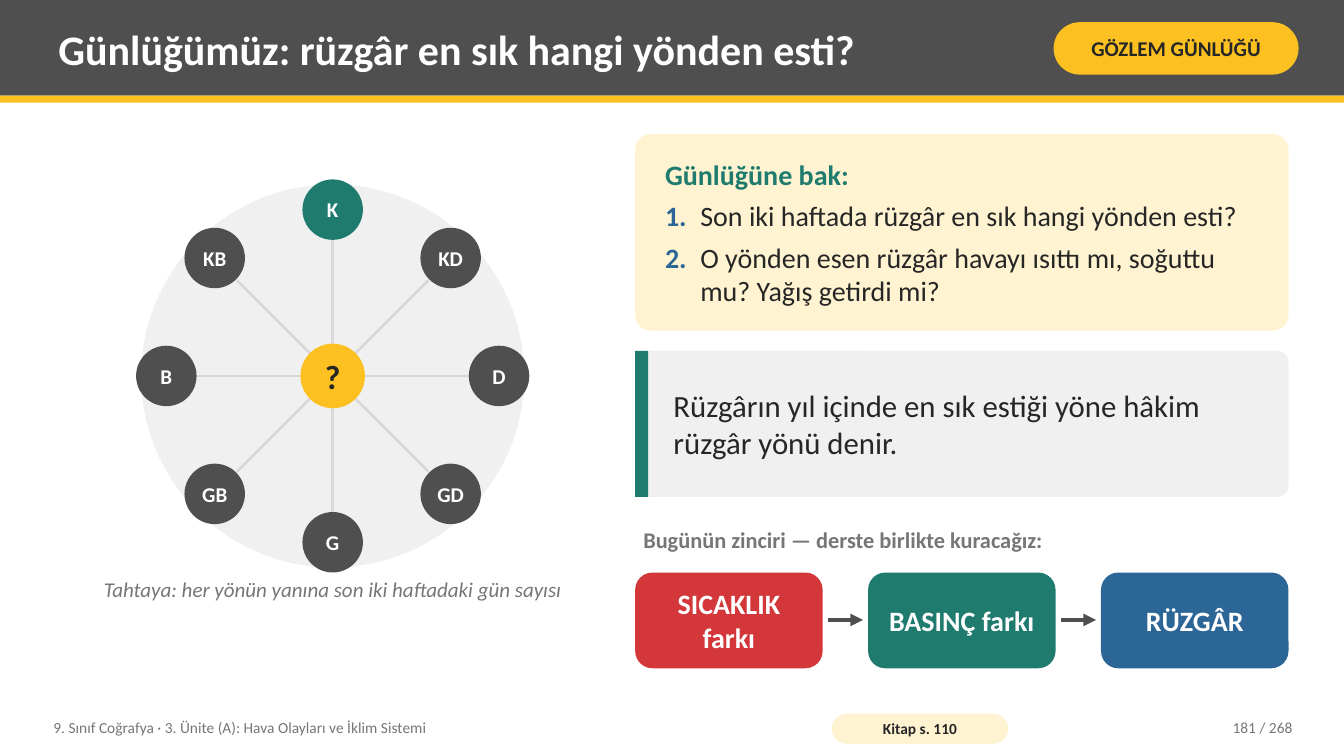
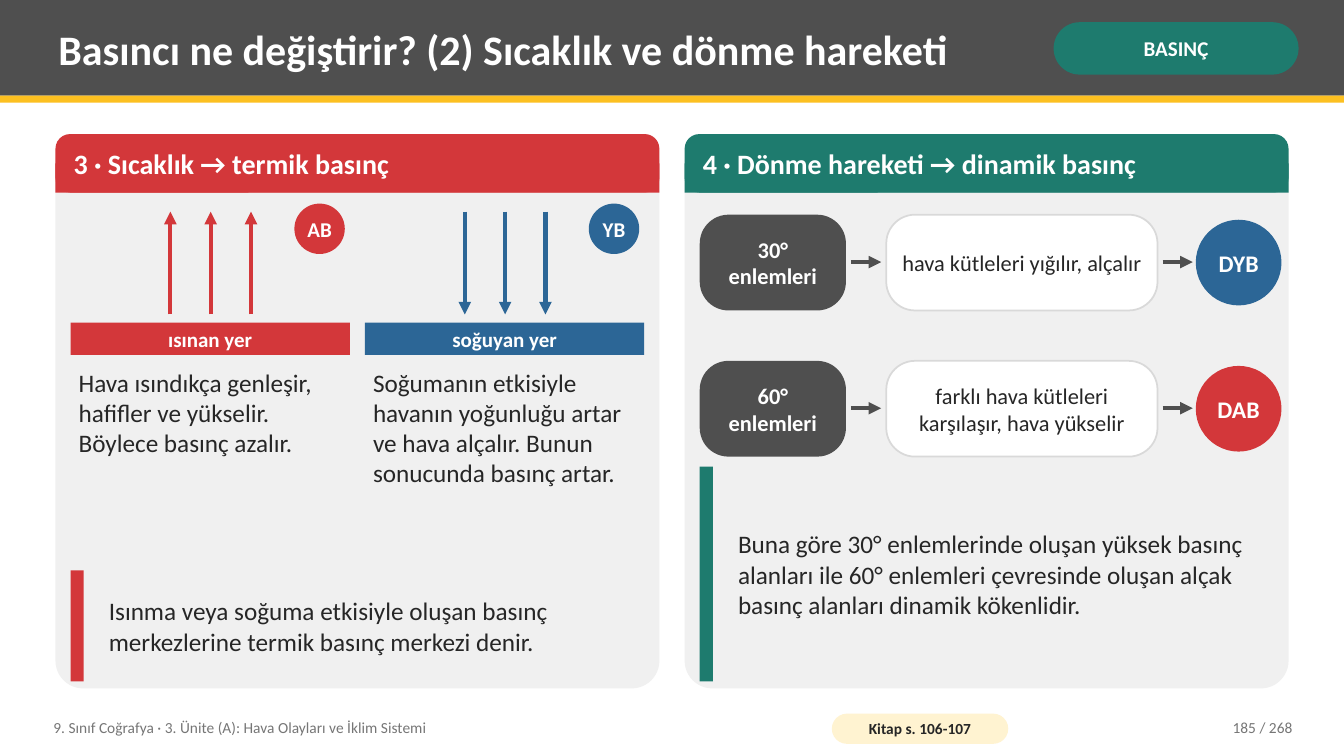
from dataclasses import dataclass
from math import cos, pi, sin

from lxml import etree
from pptx import Presentation
from pptx import util as u
from pptx.dml.color import RGBColor
from pptx.enum import shapes as sh
from pptx.enum import text as tx
from pptx.oxml.ns import qn

KIND = sh.MSO_SHAPE
LEFT, MID, RIGHT = tx.PP_ALIGN.LEFT, tx.PP_ALIGN.CENTER, tx.PP_ALIGN.RIGHT
TOP, HALF = tx.MSO_ANCHOR.TOP, tx.MSO_ANCHOR.MIDDLE
INSET = (8, 4)


@dataclass(frozen=True)
class Theme:
    """Colours, font and type sizes of the deck."""
    font: str = "Calibri"
    white: str = "FFFFFF"
    ink: str = "262626"
    dark: str = "4F4F4F"
    grey: str = "767676"
    rule: str = "D9D9D9"
    pale: str = "F0F0F0"
    gold: str = "FCC021"
    cream: str = "FFF3D1"
    green: str = "1E7B6E"
    red: str = "D3373A"
    blue: str = "2C6696"
    title: int = 30
    mark: int = 24
    lead: int = 22
    head: int = 20
    body: int = 18
    badge: int = 17
    note: int = 16
    label: int = 15
    foot: int = 11


T = Theme()


def px(n):
    """Turn px into EMU, at 100 px to the inch."""
    return u.Emu(round(n) * 9144)


def rgb(hue):
    """Turn a hex string into a colour."""
    return RGBColor.from_string(hue)


def style(para, size, hue, bold=False, align=LEFT, italic=False):
    """Set the font and alignment of a paragraph."""
    para.alignment = align
    font = para.font
    font.name, font.size = T.font, u.Pt(size)
    font.bold, font.italic = bold, italic
    font.color.rgb = rgb(hue)


def fit(frame, pad, anchor=HALF, wrap=True):
    """Set the insets, anchor and wrapping of a text frame."""
    frame.auto_size = tx.MSO_AUTO_SIZE.NONE
    frame.word_wrap = wrap
    frame.vertical_anchor = anchor
    frame.margin_left = frame.margin_right = px(pad[0])
    frame.margin_top = frame.margin_bottom = px(pad[1])


def write(slide, box, words, size, hue=T.ink, bold=False, align=LEFT,
          anchor=HALF, pad=INSET, italic=False):
    """Add a text box."""
    frame = slide.shapes.add_textbox(*map(px, box)).text_frame
    fit(frame, pad, anchor)
    frame.text = words
    style(frame.paragraphs[0], size, hue, bold, align, italic)


def block(slide, box, fill, words="", size=T.label, hue=T.white, bold=True,
          kind=KIND.RECTANGLE, bend=None, pad=(0, 0), edge=None, align=MID):
    """Add a filled shape, rounded when bend is given."""
    if bend is not None:
        kind = KIND.ROUNDED_RECTANGLE
    shape = slide.shapes.add_shape(kind, *map(px, box))
    shape.shadow.inherit = False
    if bend is not None:
        shape.adjustments[0] = bend
    shape.fill.solid()
    shape.fill.fore_color.rgb = rgb(fill)
    if edge:
        shape.line.color.rgb = rgb(edge)
        shape.line.width = u.Pt(1.25)
    else:
        shape.line.fill.background()
    if words:
        fit(shape.text_frame, pad, wrap=kind != KIND.OVAL)
        shape.text_frame.text = words
        style(shape.text_frame.paragraphs[0], size, hue, bold, align)
    return shape


def disc(slide, x, y, side, fill, words="", size=T.label, hue=T.white):
    """Add a circle by its top left corner."""
    block(slide, (x, y, side, side), fill, words, size, hue, kind=KIND.OVAL)


def line(slide, start, end, hue=T.dark, width=3, arrow=True):
    """Add a straight line, with an arrowhead at its end if wanted."""
    link = slide.shapes.add_connector(
        sh.MSO_CONNECTOR.STRAIGHT, *map(px, (*start, *end)))
    link.line.color.rgb = rgb(hue)
    link.line.width = u.Pt(width)
    props = link.element.spPr
    if arrow:
        etree.SubElement(props.find(qn("a:ln")), qn("a:tailEnd"), type="triangle")
    etree.SubElement(props, qn("a:effectLst"))


def base(deck, title, tag, fill, hue, book, page):
    """Add a slide with title band, tag and footer."""
    slide = deck.slides.add_slide(deck.slide_layouts[5])
    block(slide, (0, 0, 1333, 95), T.dark)
    rule = block(slide, (0, 95, 1333, 7), T.gold)
    head = slide.shapes.title
    rule.element.addnext(head.element)
    head.left, head.top, head.width, head.height = map(px, (50, 7, 975, 82))
    fit(head.text_frame, INSET)
    head.text_frame.text = title
    style(head.text_frame.paragraphs[0], T.title, T.white, True)
    block(slide, (1045, 22, 243, 52), fill, tag, hue=hue, bend=0.5, pad=(5, 2))
    write(slide, (45, 704, 760, 36),
          "9. Sınıf Coğrafya · 3. Ünite (A): Hava Olayları ve İklim Sistemi",
          T.foot, T.grey)
    block(slide, (825, 708, 175, 30), T.cream, f"Kitap s. {book}", T.foot,
          T.ink, bend=0.5, pad=(4, 0))
    write(slide, (1130, 704, 160, 36), f"{page} / 268", T.foot, T.grey,
          align=RIGHT)
    return slide


def rose(slide, box):
    """Draw the wind rose with its caption."""
    x, y, w, h = box
    mx, my = x + w / 2, y + 195
    disc(slide, mx - 190, my - 190, 380, T.pale)
    for i, name in enumerate(("K", "KD", "D", "GD", "G", "GB", "B", "KB")):
        dx, dy = sin(i * pi / 4), -cos(i * pi / 4)
        line(slide, (mx, my), (mx + 135 * dx, my + 135 * dy), T.rule, 2, False)
        disc(slide, mx + 165 * dx - 30, my + 165 * dy - 30, 60,
             T.dark if i else T.green, name)
    disc(slide, mx - 32, my - 32, 64, T.gold, "?", T.mark, T.ink)
    write(slide, (x, y + h - 45, w, 45),
          "Tahtaya: her yönün yanına son iki haftadaki gün sayısı",
          T.label, T.grey, align=MID, anchor=TOP, italic=True)


def quiz(slide, box, head, asks):
    """Draw the card of numbered questions."""
    card = block(slide, box, T.cream, head, T.head, T.green, bend=0.08,
                 pad=(25, 8), align=LEFT)
    frame = card.text_frame
    for i, ask in enumerate(asks, 1):
        frame.paragraphs[-1].space_after = u.Pt(5.7)
        para = frame.add_paragraph()
        style(para, T.head, T.ink)
        num = para.add_run()
        num.text = f"{i}.\t"
        num.font.bold = True
        num.font.color.rgb = rgb(T.blue)
        para.add_run().text = ask
    for item in card.element.findall(".//" + qn("a:p"))[1:]:
        props = item.get_or_add_pPr()
        props.set("marL", str(px(35)))
        props.set("indent", str(px(-35)))


def callout(slide, box, hue, words, size=T.body):
    """Draw a pale box with a coloured bar at its left."""
    x, y, w, h = box
    block(slide, box, T.pale, bend=0.08)
    block(slide, (x, y, 13, h), hue)
    write(slide, (x + 30, y, w - 45, h), words, size)


def chain(slide, box, steps):
    """Draw equal steps joined by arrows."""
    x, y, w, h = box
    gap = 45
    wide = (w - gap * (len(steps) - 1)) / len(steps)
    for i, (words, fill) in enumerate(steps):
        left = x + i * (wide + gap)
        if i:
            line(slide, (left - gap + 5, y + 47), (left - 5, y + 47))
        block(slide, (left, y, wide, h), fill, words, T.head, bend=0.18,
              pad=(10, 2))


def panel(slide, box, hue, head):
    """Draw a pale panel with a coloured heading."""
    x, y, w, h = box
    block(slide, box, T.pale, bend=0.05)
    block(slide, (x, y, w, 58), hue, bend=0.25)
    block(slide, (x, y + 29, w, 29), hue)
    write(slide, (x + 10, y, w - 20, 58), head, T.head, T.white, True)


def zone(slide, box, hue, badge, ground, words, rise):
    """Draw air moving over the ground, with its text."""
    x, y, w, h = box
    block(slide, (x, y + 118, w, 32), hue, ground, pad=(8, 0))
    ends = (y + 110, y + 8) if rise else (y + 8, y + 110)
    for left in range(x + 99, x + 180, 40):
        line(slide, (left, ends[0]), (left, ends[1]), hue)
    disc(slide, x + w - 55, y, 50, hue, badge)
    write(slide, (x, y + 158, w, h - 158), words, T.body, anchor=TOP)


def flow(slide, box, start, words, end, hue):
    """Draw a row from latitude through motion to pressure."""
    x, y, w, h = box
    block(slide, (x, y, 145, h), T.dark, start, T.note, bend=0.3, pad=(6, 0))
    line(slide, (x + 150, y + 47), (x + 180, y + 47))
    block(slide, (x + 185, y, 269, h), T.white, words, T.note, T.ink, False,
          bend=0.3, pad=(6, 0), edge=T.rule)
    line(slide, (x + 459, y + 47), (x + 489, y + 47))
    disc(slide, x + w - 85, y + 5, 85, hue, end, T.badge)


def diary(deck):
    """Build the wind diary slide."""
    slide = base(deck, "Günlüğümüz: rüzgâr en sık hangi yönden esti?",
                 "GÖZLEM GÜNLÜĞÜ", T.gold, T.ink, "110", 181)
    x, w = 630, 648
    rose(slide, (55, 178, 550, 435))
    quiz(slide, (x, 133, w, 195), "Günlüğüne bak:", (
        "Son iki haftada rüzgâr en sık hangi yönden esti?",
        "O yönden esen rüzgâr havayı ısıttı mı, soğuttu mu? Yağış getirdi mi?"))
    callout(slide, (x, 348, w, 145), T.green,
            "Rüzgârın yıl içinde en sık estiği yöne hâkim rüzgâr yönü denir.",
            T.lead)
    write(slide, (x, 518, w, 40), "Bugünün zinciri — derste birlikte kuracağız:",
          T.note, T.grey, True, anchor=TOP)
    chain(slide, (x, 568, w, 95), (
        ("SICAKLIK farkı", T.red), ("BASINÇ farkı", T.green),
        ("RÜZGÂR", T.blue)))


def causes(deck):
    """Build the slide on what changes pressure."""
    slide = base(deck, "Basıncı ne değiştirir? (2) Sıcaklık ve dönme hareketi",
                 "BASINÇ", T.green, T.white, "106-107", 185)
    y, w, h = 133, 599, 550
    panel(slide, (55, y, w, h), T.red, "3 · Sıcaklık → termik basınç")
    zone(slide, (70, 202, 277, 358), T.red, "AB", "ısınan yer",
         "Hava ısındıkça genleşir, hafifler ve yükselir. Böylece basınç azalır.",
         True)
    zone(slide, (362, 202, 277, 358), T.blue, "YB", "soğuyan yer",
         "Soğumanın etkisiyle havanın yoğunluğu artar ve hava alçalır. "
         "Bunun sonucunda basınç artar.", False)
    callout(slide, (70, 566, 569, 110), T.red,
            "Isınma veya soğuma etkisiyle oluşan basınç merkezlerine "
            "termik basınç merkezi denir.")
    panel(slide, (679, y, w, h), T.green, "4 · Dönme hareketi → dinamik basınç")
    flow(slide, (694, 213, 577, 95), "30° enlemleri",
         "hava kütleleri yığılır, alçalır", "DYB", T.blue)
    flow(slide, (694, 358, 577, 95), "60° enlemleri",
         "farklı hava kütleleri karşılaşır, hava yükselir", "DAB", T.red)
    callout(slide, (694, 463, 569, 213), T.green,
            "Buna göre 30° enlemlerinde oluşan yüksek basınç alanları ile "
            "60° enlemleri çevresinde oluşan alçak basınç alanları "
            "dinamik kökenlidir.")


def main():
    """Build and save the deck."""
    deck = Presentation()
    deck.slide_width, deck.slide_height = px(1333), px(750)
    diary(deck)
    causes(deck)
    deck.save("out.pptx")


if __name__ == "__main__":
    main()
